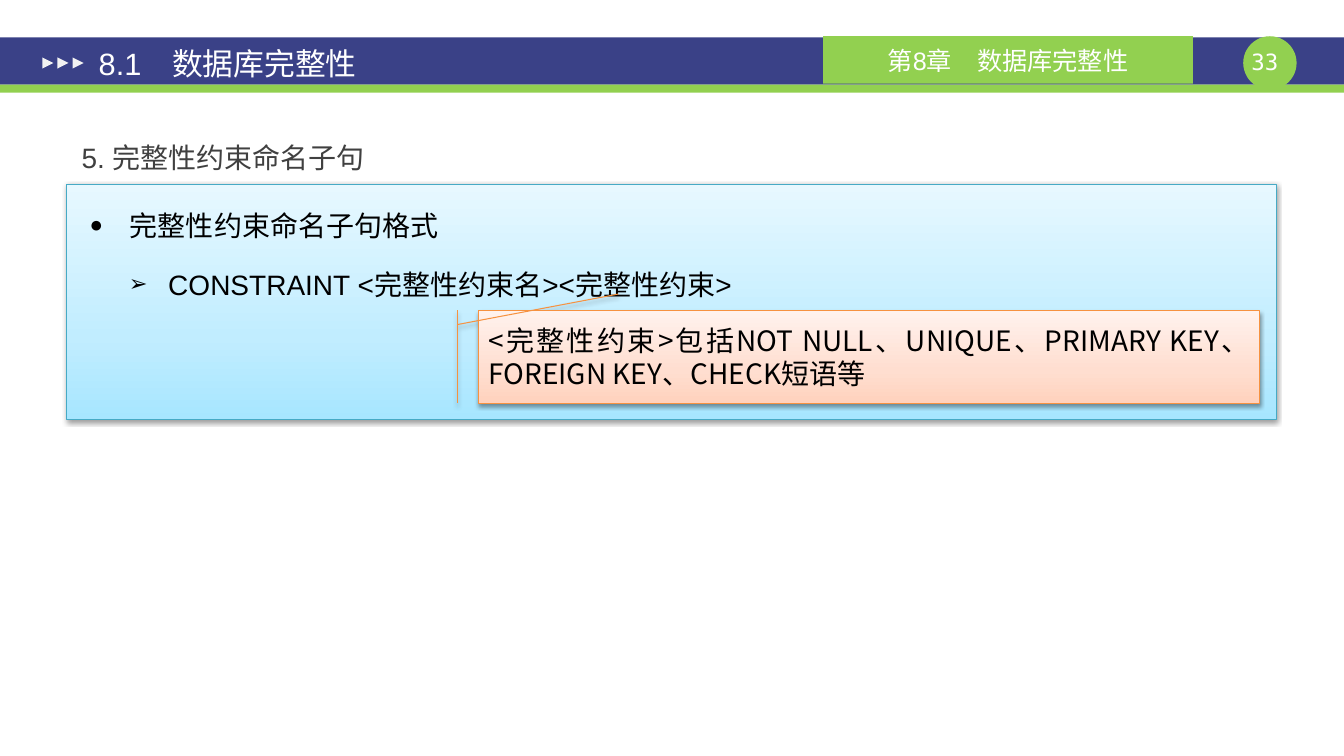
from lxml.etree import SubElement
from pptx import Presentation
from pptx.dml.color import RGBColor
from pptx.enum.shapes import MSO_SHAPE as Preset
from pptx.enum.text import MSO_ANCHOR as Anchor, PP_ALIGN as Align
from pptx.oxml.ns import qn
from pptx.util import Inches, Pt

# Content
TITLE = "8.1　数据库完整性"
CHAPTER = "第8章　数据库完整性"
PAGE = "33"
HEADING = "5. 完整性约束命名子句"
CLAUSES = [  # bullet, left margin, hanging indent, text
    ("●", 0.5, 0.4, "完整性约束命名子句格式"),
    ("➢", 0.88, 0.39, "CONSTRAINT <完整性约束名><完整性约束>"),
]
NOTE = "<完整性约束>包括NOT NULL、UNIQUE、PRIMARY KEY、FOREIGN KEY、CHECK短语等"
CALLOUT_POINTS = (0.152, -0.027, -0.177, 0.179)

THEME = {
    "navy": "3A4187", "green": "92D050", "arrow": "F2F2F2",
    "white": "FFFFFF", "grey": "404040", "black": "000000",
    "blue_edge": "46AAC5", "orange_edge": "F69240",
    "blue": [(0, "A7E6FF"), (35, "C1EDFF"), (100, "E7F8FF")],
    "orange": [(0, "FFD2BD"), (35, "FFDED0"), (100, "FFF2ED")],
    "font": "Arial", "note_font": "Noto Sans CJK SC", "page_font": "DejaVu Sans Mono",
    "title_size": 22, "body_size": 20, "chapter_size": 18, "page_size": 16,
}
INSETS = (0.13, 0.07)


def color(name):
    return RGBColor.from_string(THEME[name])


def add_block(preset, box, fill):
    block = slide.shapes.add_shape(preset, *map(Inches, box))
    block.shadow.inherit = False
    block.fill.solid()
    block.fill.fore_color.rgb = color(fill)
    block.line.fill.background()
    return block


def add_panel(preset, box, stops, edge):
    """Block with a vertical gradient, a thin edge and a soft shadow."""
    panel = add_block(preset, box, edge)
    panel.line.color.rgb = color(edge)
    panel.line.width = Pt(0.75)
    properties = panel._element.spPr
    solid = properties.find(qn("a:solidFill"))
    gradient = solid.makeelement(qn("a:gradFill"), {"rotWithShape": "1"})
    stop_list = SubElement(gradient, qn("a:gsLst"))
    for percent, value in THEME[stops]:
        stop = SubElement(stop_list, qn("a:gs"), pos=str(percent * 1000))
        SubElement(stop, qn("a:srgbClr"), val=value)
    SubElement(gradient, qn("a:lin"), ang="16200000", scaled="0")
    properties.replace(solid, gradient)
    shadow = SubElement(properties.find(qn("a:effectLst")), qn("a:outerShdw"),
                        blurRad=str(Pt(3.1)), dist=str(Pt(1.6)), dir="5400000", rotWithShape="0")
    shade = SubElement(shadow, qn("a:srgbClr"), val=THEME["black"])
    SubElement(shade, qn("a:alpha"), val="38000")
    return panel


def set_frame(shape, anchor, insets=(0.1, 0.05)):
    frame = shape.text_frame
    frame.word_wrap = True
    frame.vertical_anchor = anchor
    frame.margin_left = frame.margin_right = Inches(insets[0])
    frame.margin_top = frame.margin_bottom = Inches(insets[1])
    return frame


def write(paragraph, text, size, ink, font="font", align=Align.LEFT):
    paragraph.text = text
    paragraph.alignment = align
    paragraph.font.size = Pt(THEME[size])
    paragraph.font.name = THEME[font]
    paragraph.font.color.rgb = color(ink)


def set_bullet(paragraph, mark, margin, hanging):
    properties = paragraph._p.get_or_add_pPr()
    properties.set("marL", str(Inches(margin)))
    properties.set("indent", str(-Inches(hanging)))
    SubElement(properties, qn("a:buSzPct"), val="80000")
    SubElement(properties, qn("a:buFont"), typeface=THEME["font"])
    SubElement(properties, qn("a:buChar"), char=mark)


deck = Presentation()
deck.slide_width, deck.slide_height = Inches(13.34), Inches(7.5)
slide = deck.slides.add_slide(deck.slide_layouts[5])

# Header band with page number, chapter label and three arrows
add_block(Preset.RECTANGLE, (0, 0.37, 13.34, 0.47), "navy")
add_block(Preset.RECTANGLE, (0, 0.84, 13.34, 0.08), "green")
add_block(Preset.OVAL, (12.34, 0.36, 0.53, 0.53), "green")
page = slide.shapes.add_textbox(*map(Inches, (12.34, 0.48, 0.43, 0.27)))
write(set_frame(page, Anchor.TOP, (0, 0)).paragraphs[0], PAGE, "page_size", "white",
      "page_font", Align.CENTER)
chapter = add_block(Preset.RECTANGLE, (8.17, 0.36, 3.67, 0.47), "green")
write(set_frame(chapter, Anchor.MIDDLE).paragraphs[0], CHAPTER, "chapter_size", "white",
      align=Align.CENTER)
for i in range(3):
    arrow = add_block(Preset.ISOSCELES_TRIANGLE, (0.42 + 0.15 * i, 0.57, 0.11, 0.11), "arrow")
    arrow.rotation = 90

# Title, brought in front of the band
title = slide.shapes.title
title.left, title.top, title.width, title.height = map(Inches, (0.85, 0.39, 5.83, 0.47))
write(set_frame(title, Anchor.MIDDLE, INSETS).paragraphs[0], TITLE, "title_size", "white")
slide.shapes._spTree.append(title._element)

# Section heading
heading = slide.shapes.add_textbox(*map(Inches, (0.68, 1.16, 12.01, 0.84)))
heading_line = set_frame(heading, Anchor.TOP, INSETS).paragraphs[0]
heading_line.line_spacing = 1.5
heading_line.space_before = Pt(4)
write(heading_line, HEADING, "body_size", "grey")

# Clause panel
clauses = add_panel(Preset.RECTANGLE, (0.66, 1.83, 12.01, 2.33), "blue", "blue_edge")
clause_frame = set_frame(clauses, Anchor.TOP, INSETS)
for i, (mark, margin, hanging, text) in enumerate(CLAUSES):
    clause = clause_frame.add_paragraph() if i else clause_frame.paragraphs[0]
    set_bullet(clause, mark, margin, hanging)
    clause.line_spacing = 1.5
    clause.space_before = Pt(6)
    write(clause, text, "body_size", "black", align=Align.JUSTIFY)

# Callout on the constraint kinds
note = add_panel(Preset.LINE_CALLOUT_1_BORDER_AND_ACCENT_BAR, (4.75, 3.08, 7.75, 0.92),
                 "orange", "orange_edge")
for i, point in enumerate(CALLOUT_POINTS):
    note.adjustments[i] = point
write(set_frame(note, Anchor.MIDDLE).paragraphs[0], NOTE, "body_size", "black",
      "note_font", Align.JUSTIFY)

deck.save("out.pptx")
